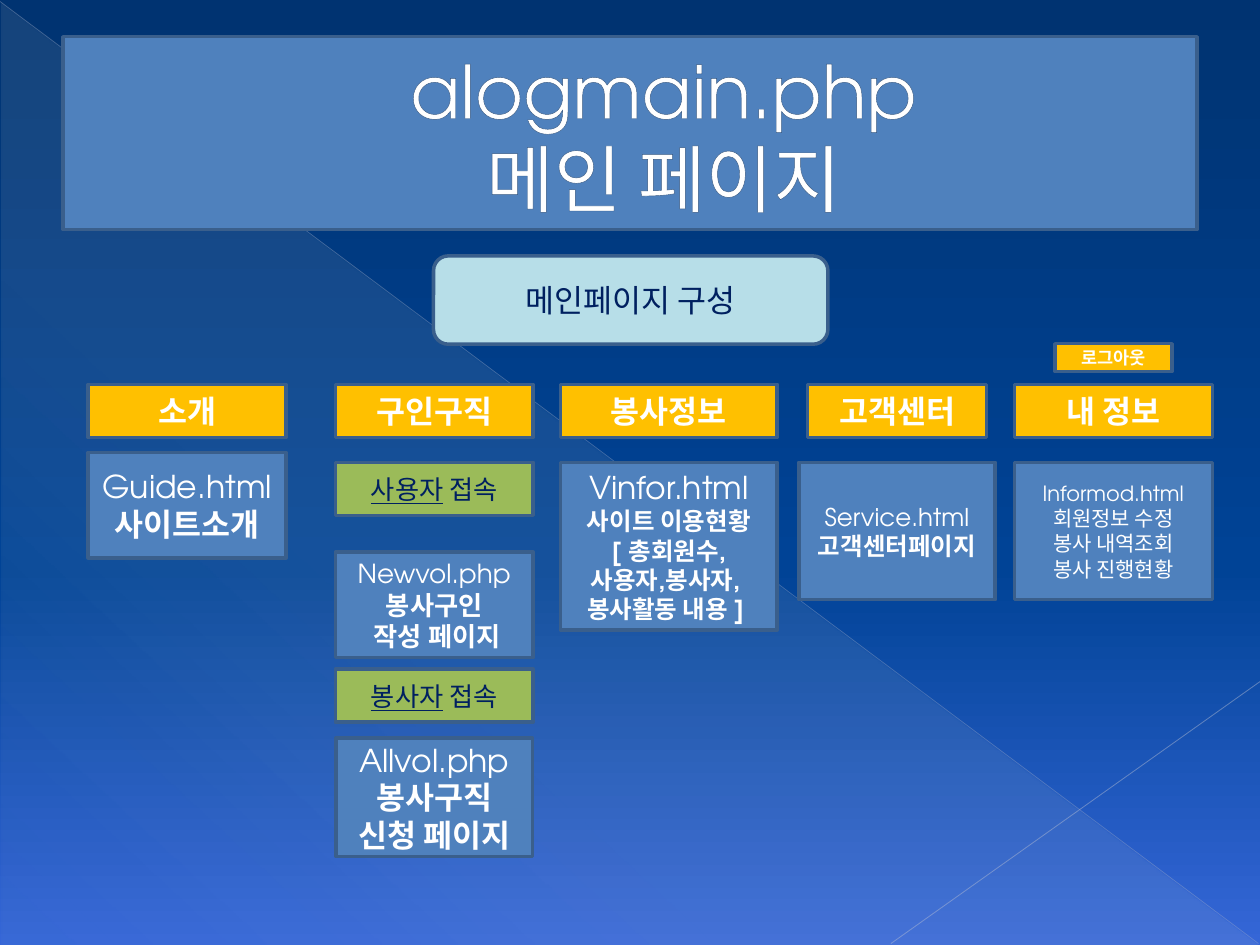
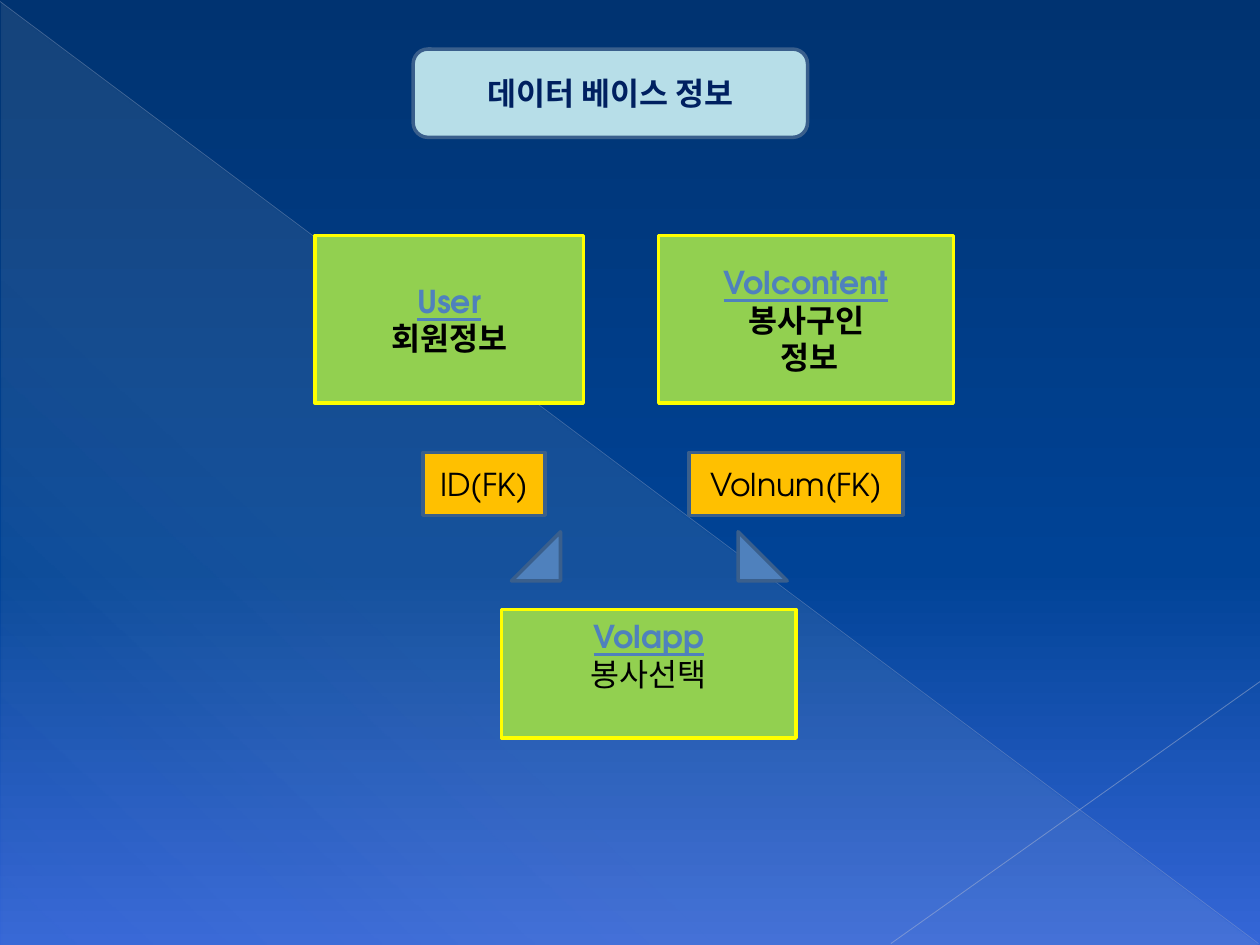
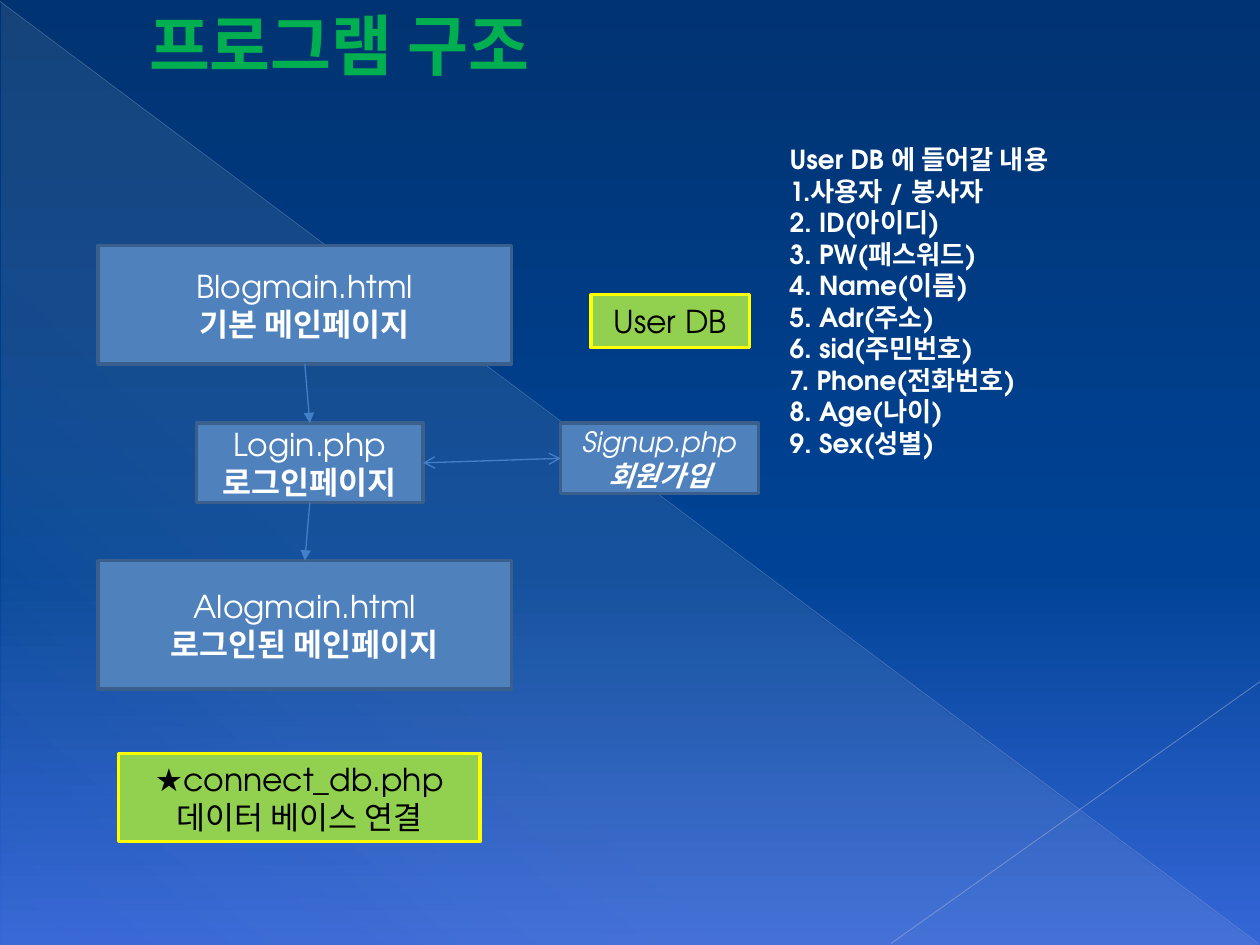
"""Build three slides on the page structure and database of a volunteer site."""
import pptx
import pptx.dml.color
import pptx.enum.shapes
import pptx.enum.text
import pptx.oxml.ns
import pptx.util
import lxml.etree

Cm, Pt = pptx.util.Cm, pptx.util.Pt
RGBColor = pptx.dml.color.RGBColor
SHAPE = pptx.enum.shapes.MSO_SHAPE
STRAIGHT = pptx.enum.shapes.MSO_CONNECTOR.STRAIGHT
ALIGN = pptx.enum.text.PP_ALIGN
MIDDLE = pptx.enum.text.MSO_ANCHOR.MIDDLE
FIT_SHAPE = pptx.enum.text.MSO_AUTO_SIZE.SHAPE_TO_FIT_TEXT
qn = pptx.oxml.ns.qn

FONT = "TeX Gyre Adventor"
WHITE, BLACK = RGBColor(255, 255, 255), RGBColor(0, 0, 0)
NAVY = RGBColor(0x00, 0x20, 0x60)
BLUE = RGBColor(0x4F, 0x81, 0xBD)
EDGE = RGBColor(0x3A, 0x5F, 0x8C)
ARROW = RGBColor(0x44, 0x80, 0xC8)
AMBER = RGBColor(0xFF, 0xC0, 0x00)
OLIVE = RGBColor(0x9B, 0xBB, 0x59)
LIME = RGBColor(0x92, 0xD0, 0x50)
YELLOW = RGBColor(0xFF, 0xFF, 0x00)
ICE = RGBColor(0xB7, 0xDE, 0xE8)
GREEN = RGBColor(0x00, 0xB0, 0x50)
OUTLINE = RGBColor(0x37, 0x59, 0x83)
IVORY = RGBColor(0xEE, 0xEC, 0xE1)
SKY = [(0, RGBColor(0x00, 0x33, 0x71), 100), (60, RGBColor(0x00, 0x43, 0x96), 100),
       (100, RGBColor(0x35, 0x66, 0xD7), 100)]
SHEEN = [(0, IVORY, 10), (70, IVORY, 8), (100, IVORY, 1)]
DECOR_LINES = [((0, 0.03), (25.37, 19.02), RGBColor(0xAD, 0xB6, 0xCE), 0.39, 35),
               ((25.4, 13.74), (17.96, 19.02), RGBColor(0xB6, 0xBE, 0xD3), 0.47, 45)]

STYLES = {
    "page": (BLUE, EDGE, WHITE),
    "menu": (AMBER, EDGE, WHITE),
    "access": (OLIVE, EDGE, NAVY),
    "pill": (ICE, EDGE, NAVY),
    "table": (LIME, YELLOW, BLACK),
    "key": (AMBER, EDGE, BLACK),
}

PILL_SIZE = (7.95, 1.78)
MENU_TOP, MENU_HEIGHT = 7.75, 1.07
BOLD = {"bold": True}
TABLE_NAME = {"bold": True, "underline": True, "color": BLUE}


def page(name, *lines, **style):
    """Return a file name followed by bold description lines."""
    return [(name, {})] + [(line, {**BOLD, **style}) for line in lines]


MENU = [
    (1.78, 3.99, "소개", [
        (9.12, 3.99, 2.13, "page", 18, page("Guide.html", "사이트소개"))]),
    (6.76, 3.99, "구인구직", [
        (9.32, 3.99, 1.07, "access", 15, [(["사용자", " 접속"], {})]),
        (11.13, 3.99, 2.13, "page", 15, page("Newvol.php", "봉사구인", " 작성 페이지")),
        (13.49, 3.99, 1.07, "access", 15, [(["봉사자", " 접속"], {})]),
        (14.88, 3.96, 2.39, "page", 18, page("Allvol.php", "봉사구직", "신청 페이지"))]),
    (11.3, 4.37, "봉사정보", [
        (9.32, 4.37, 3.38, "page", 18, page(
            "Vinfor.html", "사이트 이용현황", "[ 총회원수,", "사용자,봉사자, ",
            "봉사활동 내용 ] ", size=14))]),
    (16.28, 3.61, "고객센터", [
        (9.32, 3.96, 2.77, "page", 14, page("Service.html", "고객센터페이지"))]),
    (20.45, 3.99, "내 정보", [
        (6.93, 2.36, 0.56, "menu", 10, [("로그아웃", BOLD)]),
        (9.32, 3.99, 2.77, "page", 12, page(
            "Informod.html", "회원정보 수정", "봉사 내역조회", "봉사 진행현황", bold=False))]),
]

DATABASE = [
    ((6.35, 4.75, 5.41, 3.38), "table", [("User", TABLE_NAME), ("회원정보", BOLD)]),
    ((13.28, 4.75, 5.94, 3.38), "table",
     [("Volcontent", TABLE_NAME), ("봉사구인", BOLD), (" 정보", BOLD)]),
    ((8.53, 9.12, 2.46, 1.27), "key", [("ID(FK)", {})]),
    ((13.89, 9.12, 4.32, 1.27), "key", [("Volnum(FK)", {})]),
]
VOLAPP = ((10.11, 12.29, 5.94, 2.59), "table", [("Volapp", TABLE_NAME), ("봉사선택", {})])
POINTERS = [(14.88, 0), (10.31, 270)]

PROGRAM = {
    "blog": ((1.98, 4.95, 8.33, 2.39), "page", page("Blogmain.html", "기본 메인페이지"), 18),
    "login": ((3.96, 8.53, 4.57, 1.6), "page", page("Login.php", "로그인페이지"), 18),
    "signup": ((11.3, 8.53, 3.99, 1.42), "page",
               [("Signup.php", {"italic": True}),
                ("회원가입", {"italic": True, "bold": True})], 16),
    "main": ((1.98, 11.3, 8.33, 2.59), "page",
             page("Alogmain.html", "로그인된 메인페이지"), 18),
    "user_db": ((11.91, 5.94, 3.2, 1.07), "table", [("User DB", {})], 18),
    "connect": ((2.39, 15.19, 7.29, 1.78), "table",
                [("★connect_db.php", {}), ("데이터 베이스 연결", {})], 18),
}
TOP, LEFT, BOTTOM, RIGHT = range(4)
FLOWS = [
    ("blog", BOTTOM, "login", TOP, {"tailEnd": "triangle"}),
    ("login", BOTTOM, "main", TOP, {"tailEnd": "triangle"}),
    ("login", RIGHT, "signup", LEFT, {"headEnd": "arrow", "tailEnd": "arrow"}),
]
USER_FIELDS = [
    "User DB 에 들어갈 내용", "1.사용자 / 봉사자 ", "2. ID(아이디)", "3. PW(패스워드)",
    "4. Name(이름)", "5. Adr(주소)", "6. sid(주민번호)", "7. Phone(전화번호)",
    "8. Age(나이)", "9. Sex(성별)",
]


def sub(parent, tag, **attrs):
    return lxml.etree.SubElement(
        parent, qn(tag), {name: str(value) for name, value in attrs.items()})


def set_gradient(fill, owner, stops, angle):
    fill.gradient()
    grad = next(owner.iter(qn("a:gradFill")))
    for child in list(grad):
        grad.remove(child)
    gs_list = sub(grad, "a:gsLst")
    for pos, color, alpha in stops:
        gs = sub(gs_list, "a:gs", pos=pos * 1000)
        clr = sub(gs, "a:srgbClr", val=color)
        sub(clr, "a:alpha", val=alpha * 1000)
    sub(grad, "a:lin", ang=angle * 60000, scaled=0)


def write(tf, lines, size, color, align=ALIGN.CENTER):
    for i, (text, style) in enumerate(lines):
        p = tf.paragraphs[0] if i == 0 else tf.add_paragraph()
        p.alignment = align
        font = p.font
        font.name = FONT
        font.size = Pt(style.get("size", size))
        font.color.rgb = style.get("color", color)
        font.bold = style.get("bold", False)
        font.italic = style.get("italic", False)
        font.underline = style.get("underline", False)
        parts = [text] if isinstance(text, str) else text
        for part in parts:
            r = p.add_run()
            r.text = part
        if len(parts) > 1:
            p.runs[0].font.underline = True


def paint(sp, fill, edge):
    sp.fill.solid()
    sp.fill.fore_color.rgb = fill
    sp.line.color.rgb = edge
    sp.line.width = Pt(2)


def box(s, at, style, lines, size=18, kind=SHAPE.RECTANGLE):
    fill, edge, color = STYLES[style]
    sp = s.shapes.add_shape(kind, *map(Cm, at))
    sp.shadow.inherit = False
    paint(sp, fill, edge)
    tf = sp.text_frame
    tf.word_wrap = True
    tf.vertical_anchor = MIDDLE
    write(tf, lines, size, color)
    return sp


def pill(s, left, top, line):
    box(s, (left, top) + PILL_SIZE, "pill", [line], kind=SHAPE.ROUNDED_RECTANGLE)


def connector(s, begin, end, color, width):
    cxn = s.shapes.add_connector(STRAIGHT, *map(Cm, begin + end))
    cxn.line.color.rgb = color
    cxn.line.width = Pt(width)
    sub(cxn.element.spPr, "a:effectLst")
    return cxn


def set_title(s, at, lines, size, color, align):
    sp = s.shapes.title
    sp.left, sp.top, sp.width, sp.height = map(Cm, at)
    tf = sp.text_frame
    tf.word_wrap = True
    tf.vertical_anchor = MIDDLE
    write(tf, lines, size, color, align)
    for p in tf.paragraphs:
        pPr = p._p.get_or_add_pPr()
        pPr.set("marL", str(Cm(1.35)))
        pPr.set("indent", "0")
        for r in p.runs:
            ln = sub(r._r.get_or_add_rPr(), "a:ln", w=Pt(0.5))
            sub(sub(ln, "a:solidFill"), "a:srgbClr", val=OUTLINE)
    return sp


def decorate_master(prs, s):
    """Give the master its background, sheen and thin lines."""
    master = prs.slide_master
    set_gradient(master.background.fill, master.element, SKY, 90)
    sheen = s.shapes.add_shape(SHAPE.RIGHT_TRIANGLE, *map(Cm, (0.03, 0.05, 25.35, 19)))
    sheen.shadow.inherit = False
    sheen.line.fill.background()
    set_gradient(sheen.fill, sheen.element, SHEEN, 133)
    decor = [sheen]
    for begin, end, color, width, alpha in DECOR_LINES:
        cxn = connector(s, begin, end, color, width)
        clr = next(cxn.element.spPr.iter(qn("a:srgbClr")))
        sub(clr, "a:alpha", val=alpha * 1000)
        decor.append(cxn)
    for i, sp in enumerate(decor):
        next(sp.element.iter(qn("p:cNvPr"))).set("id", str(100 + i))
        master.shapes.element.insert(2 + i, sp.element)


def main_page(s):
    title = set_title(s, (1.27, 0.74, 22.86, 3.89),
                      [("alogmain.php", {}), ("메인 페이지", {})], 42, WHITE, ALIGN.CENTER)
    paint(title, BLUE, EDGE)
    pill(s, 8.74, 5.16, ("메인페이지 구성", {}))
    for left, width, name, items in MENU:
        box(s, (left, MENU_TOP, width, MENU_HEIGHT), "menu", [(name, BOLD)])
        for top, w, h, style, size, lines in items:
            box(s, (left + (width - w) / 2, top, w, h), style, lines, size)


def database_page(s):
    pill(s, 8.33, 0.99, ("데이터 베이스 정보", BOLD))
    for at, style, lines in DATABASE:
        box(s, at, style, lines)
    box(s, *VOLAPP).text_frame.margin_bottom = Cm(0.89)
    for left, rotation in POINTERS:
        sp = s.shapes.add_shape(SHAPE.RIGHT_TRIANGLE, *map(Cm, (left, 10.72, 0.99, 0.99)))
        sp.shadow.inherit = False
        sp.rotation = rotation
        paint(sp, BLUE, EDGE)


def program_page(s):
    set_title(s, (1.4, 0, 22.86, 1.78), [("프로그램 구조", BOLD)], 37.8, GREEN, ALIGN.LEFT)
    boxes = {name: box(s, *args) for name, args in PROGRAM.items()}
    for source, out_site, target, in_site, heads in FLOWS:
        cxn = connector(s, (0, 0), (1, 1), ARROW, 0.75)
        cxn.begin_connect(boxes[source], out_site)
        cxn.end_connect(boxes[target], in_site)
        ln = cxn.element.spPr.find(qn("a:ln"))
        for tag, kind in heads.items():
            sub(ln, "a:" + tag, type=kind)
    tf = s.shapes.add_textbox(*map(Cm, (15.67, 2.77, 6.35, 6.68))).text_frame
    tf.word_wrap = True
    tf.auto_size = FIT_SHAPE
    write(tf, [(line, BOLD) for line in USER_FIELDS], 15, WHITE, ALIGN.LEFT)


prs = pptx.Presentation()
prs.slide_width, prs.slide_height = Cm(25.4), Cm(19.05)
title_only, blank = prs.slide_layouts[5], prs.slide_layouts[6]
slides = [prs.slides.add_slide(layout) for layout in (title_only, blank, title_only)]
decorate_master(prs, slides[0])
for build, s in zip((main_page, database_page, program_page), slides):
    build(s)
prs.save("out.pptx")
